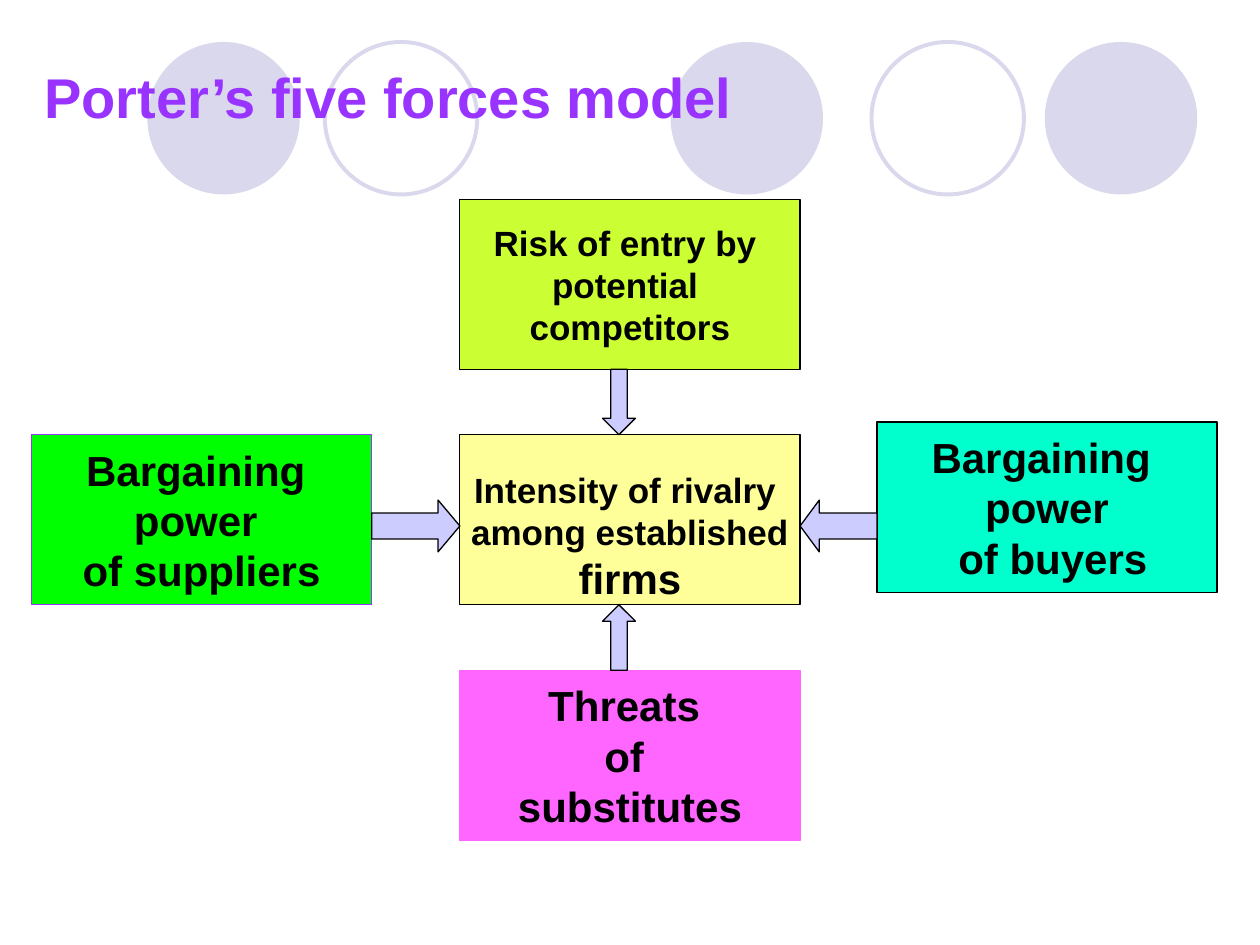
import pptx
import pptx.dml.color
import pptx.enum.shapes
import pptx.enum.text
import pptx.util

Pt = pptx.util.Pt
SHAPE = pptx.enum.shapes.MSO_SHAPE
ALIGN = pptx.enum.text.PP_ALIGN
MIDDLE = pptx.enum.text.MSO_ANCHOR.MIDDLE

BOX_WIDTH, BOX_HEIGHT = 194.4, 97.2
CENTRE_LEFT, CENTRE_TOP = 262.8, 248.4
VERTICAL_GAP, LEFT_GAP, RIGHT_GAP = 37.4, 50.4, 43.9


def colour(value):
    return pptx.dml.color.RGBColor.from_string(value)


def apply(target, values):
    for name, value in values.items():
        setattr(target, name, value)


class ForcesSlide:
    font = "Arial"
    ink = "000000"
    title_ink = "9933FF"
    circle_tint = "D9D8EC"
    arrow_fill = "CCCCFF"

    def __init__(self, deck):
        self.page = deck.slides.add_slide(deck.slide_layouts[5])

    def shape(self, kind, place, fill=None, line=None, weight=0.75):
        item = self.page.shapes.add_shape(kind, *(Pt(length) for length in place))
        item.shadow.inherit = False
        if fill:
            item.fill.solid()
            item.fill.fore_color.rgb = colour(fill)
        else:
            item.fill.background()
        if line:
            item.line.color.rgb = colour(line)
            item.line.width = Pt(weight)
        else:
            item.line.fill.background()
        return item

    def add_text(self, para, text, size, ink, align):
        para.alignment = align
        span = para.add_run()
        span.text = text
        apply(span.font, {"name": self.font, "size": Pt(size), "bold": True})
        span.font.color.rgb = colour(ink)

    def title(self, text):
        box = self.page.shapes.title
        apply(box, {"left": Pt(18), "top": Pt(30), "width": Pt(702), "height": Pt(50)})
        apply(box.text_frame, {"vertical_anchor": MIDDLE, "word_wrap": True,
                               "auto_size": pptx.enum.text.MSO_AUTO_SIZE.NONE})
        self.add_text(box.text_frame.paragraphs[0], text, 32, self.title_ink, ALIGN.LEFT)
        # Bring the title in front of what has been drawn so far
        box.element.getparent().append(box.element)

    def circle(self, left, filled):
        fill, line = (self.circle_tint, None) if filled else (None, self.circle_tint)
        self.shape(SHAPE.OVAL, (left, 24, 87.1, 87.1), fill, line, 2.25)

    def force(self, left, top, fill, line, rows, margins=(3.6, 3.6)):
        box = self.shape(SHAPE.RECTANGLE, (left, top, BOX_WIDTH, BOX_HEIGHT), fill, line)
        frame = box.text_frame
        apply(frame, {"word_wrap": False, "vertical_anchor": MIDDLE,
                      "margin_top": Pt(margins[0]), "margin_bottom": Pt(margins[1])})
        for index, (text, size) in enumerate(rows):
            para = frame.add_paragraph() if index else frame.paragraphs[0]
            self.add_text(para, text, size, self.ink, ALIGN.CENTER)

    def arrow(self, kind, place, head):
        item = self.shape(kind, place, self.arrow_fill, self.ink)
        item.adjustments[0] = 0.5
        item.adjustments[1] = head


def main():
    deck = pptx.Presentation()
    apply(deck, {"slide_width": Pt(720), "slide_height": Pt(540)})
    slide = ForcesSlide(deck)

    # Decorative circles behind the title
    for left, filled in ((84.2, True), (185.6, False), (383.2, True),
                         (498, False), (597, True)):
        slide.circle(left, filled)
    slide.title("Porter’s five forces model")

    # Rivalry in the middle, the other four forces around it
    right_edge = CENTRE_LEFT + BOX_WIDTH
    bottom_edge = CENTRE_TOP + BOX_HEIGHT
    slide.force(CENTRE_LEFT, CENTRE_TOP, "FFFF99", "000000",
                [("Intensity of rivalry ", 20), ("among established", 20), ("firms", 24)],
                margins=(18.4, 0))
    slide.force(CENTRE_LEFT - LEFT_GAP - BOX_WIDTH, CENTRE_TOP, "00FF00", "9933FF",
                [("Bargaining ", 24), ("power ", 24), ("of suppliers", 24)])
    slide.force(CENTRE_LEFT, bottom_edge + VERTICAL_GAP, "FF66FF", "FF66FF",
                [("Threats ", 24), ("of ", 24), ("substitutes", 24)])
    slide.force(right_edge + RIGHT_GAP, CENTRE_TOP - 7.2, "00FFCC", "000000",
                [("Bargaining ", 24), ("power", 24), (" of buyers", 24)])
    slide.force(CENTRE_LEFT, CENTRE_TOP - VERTICAL_GAP - BOX_HEIGHT, "CCFF33", "000000",
                [("Risk of entry by ", 20), ("potential ", 20), ("competitors", 20)])

    # Block arrows fill the gaps and point at the middle box
    across_top, across_height = 285.8, 29.6
    down_left, down_width = 344.3, 18.8
    slide.arrow(SHAPE.RIGHT_ARROW,
                (CENTRE_LEFT - LEFT_GAP, across_top, LEFT_GAP, across_height), 0.42)
    slide.arrow(SHAPE.LEFT_ARROW,
                (right_edge, across_top, RIGHT_GAP, across_height), 0.37)
    for kind, top in ((SHAPE.UP_ARROW, bottom_edge),
                      (SHAPE.DOWN_ARROW, CENTRE_TOP - VERTICAL_GAP)):
        slide.arrow(kind, (down_left, top, down_width, VERTICAL_GAP), 0.5)

    deck.save("out.pptx")


if __name__ == "__main__":
    main()
